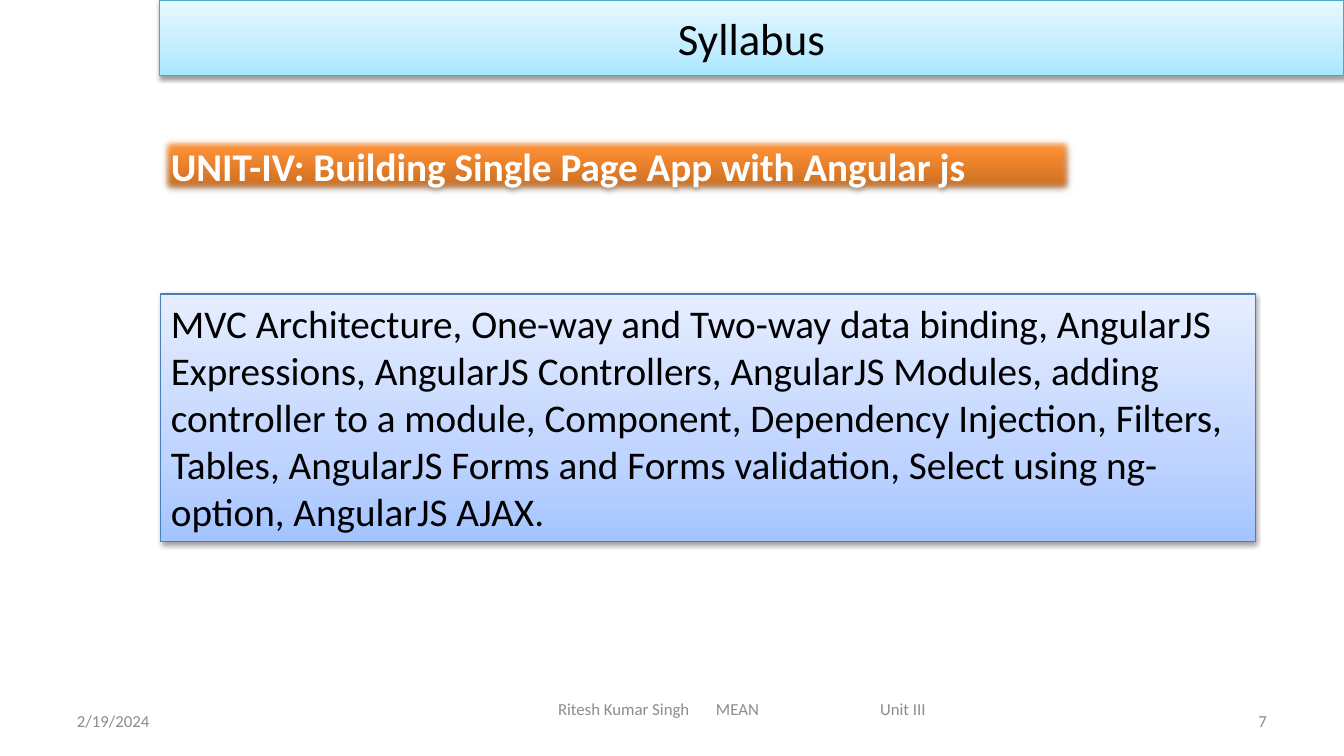
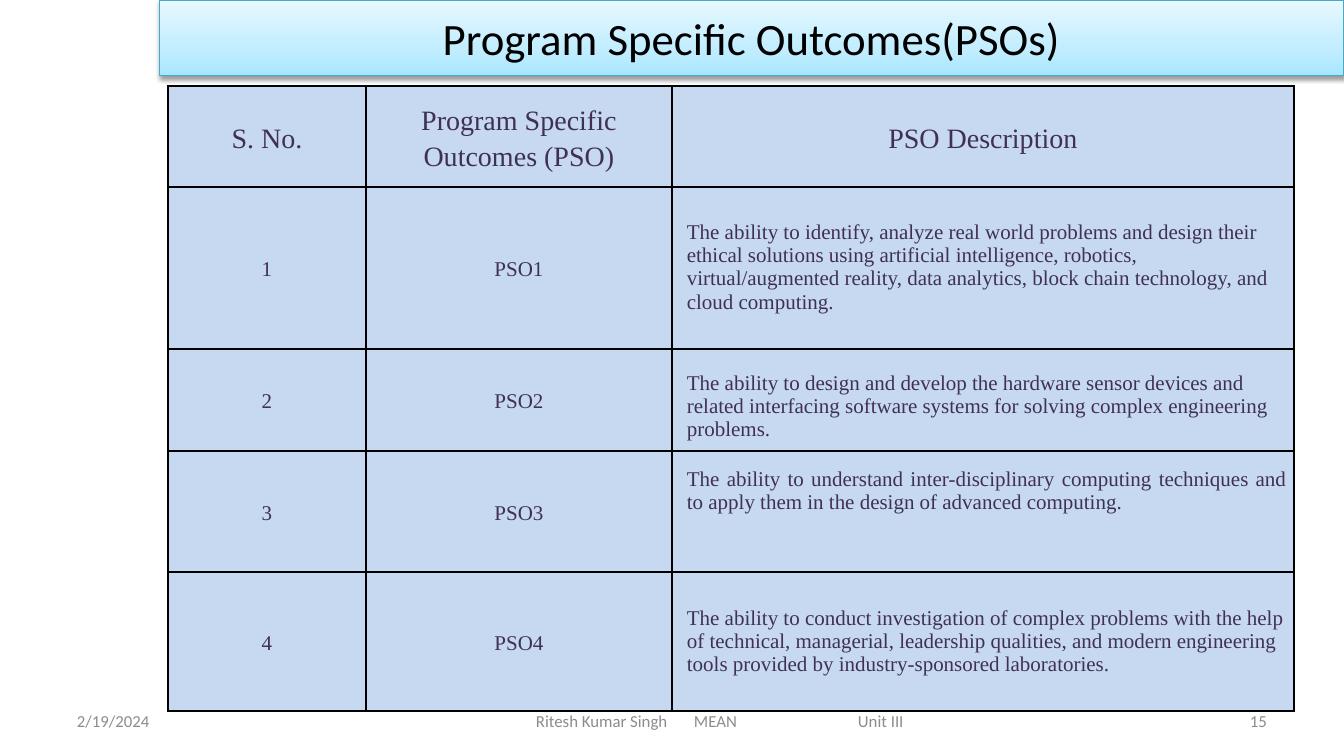
from lxml import etree
from pptx import Presentation
from pptx.dml.color import RGBColor
from pptx.enum.shapes import MSO_SHAPE
from pptx.enum.text import MSO_ANCHOR, MSO_AUTO_SIZE, PP_ALIGN
from pptx.oxml.ns import qn
from pptx.util import Pt

RECT = MSO_SHAPE.RECTANGLE
TOP, MIDDLE = MSO_ANCHOR.TOP, MSO_ANCHOR.MIDDLE
GROW = MSO_AUTO_SIZE.SHAPE_TO_FIT_TEXT
LEFT, CENTER = PP_ALIGN.LEFT, PP_ALIGN.CENTER
RIGHT, JUSTIFY = PP_ALIGN.RIGHT, PP_ALIGN.JUSTIFY

# Shared style
SANS, SERIF = "Calibri", "Times New Roman"
BLACK, WHITE, GRAY = "000000", "FFFFFF", "8C8C8C"
CELL_FILL, CELL_TEXT = "C6D9F1", "403152"
# Gradient stops run from the bottom edge to the top edge
AQUA = [(0, "A7E6FF"), (35, "C1EDFF"), (100, "E7F8FF")]
ORANGE = [(0, "C2691F"), (80, "FF9034"), (100, "FF9136")]
BLUE = [(0, "A4C4FF"), (35, "BFD4FF"), (100, "E6EEFF")]


def px(n):
    return round(n * 914400 / 100.8)


def rgb(value):
    return RGBColor.from_string(value)


def sub(parent, tag, **attrs):
    return etree.SubElement(parent, qn(tag), {k: str(v) for k, v in attrs.items()})


class Deck:
    def __init__(self):
        self.prs = Presentation()
        self.prs.slide_width, self.prs.slide_height = px(1344), px(756)
        self.s = None

    def slide(self, title, number, footer_x, footer_y):
        self.s = self.prs.slides.add_slide(self.prs.slide_layouts[5])
        # Title band
        sp = self.s.shapes.title
        sp.left, sp.top, sp.width, sp.height = px(159), 0, px(1185), px(76)
        self.gradient(sp, AQUA, "46AAC5")
        sp.text_frame.vertical_anchor = MIDDLE
        self.para(sp.text_frame.paragraphs[0], title, 32, BLACK, CENTER)
        # Footer
        self.label(77, 701, 294, "2/19/2024")
        self.label(footer_x, footer_y, 400,
                   "Ritesh Kumar Singh\tMEAN\tUnit III", tabs=(158, 322))
        self.label(973, 701, 294, number, RIGHT)

    def para(self, p, text, size, color, align=LEFT, font=SANS, bold=False):
        p.text, p.alignment = text, align
        p.font.name, p.font.size, p.font.bold = font, Pt(size), bold
        p.font.color.rgb = rgb(color)

    def gradient(self, sp, stops, line=None, alpha=38, soft=0):
        sp.fill.gradient()
        sp.fill.gradient_angle = 90
        spPr = sp._element.spPr
        gs_list = spPr.find(qn("a:gradFill")).find(qn("a:gsLst"))
        for gs in list(gs_list):
            gs_list.remove(gs)
        for pos, color in stops:
            sub(sub(gs_list, "a:gs", pos=pos * 1000), "a:srgbClr", val=color)
        if line:
            sp.line.color.rgb, sp.line.width = rgb(line), Pt(0.75)
        else:
            sp.line.fill.background()
        # Drop shadow below, and a soft edge where asked for
        effects = sub(spPr, "a:effectLst")
        shadow = sub(effects, "a:outerShdw", blurRad=40000, dist=20000,
                     dir=5400000, rotWithShape=0)
        sub(sub(shadow, "a:srgbClr", val=BLACK), "a:alpha", val=alpha * 1000)
        if soft:
            sub(effects, "a:softEdge", rad=Pt(soft))

    def label(self, x, y, w, text, align=LEFT, tabs=()):
        tf = self.s.shapes.add_textbox(px(x), px(y), px(w), px(40)).text_frame
        tf.word_wrap, tf.vertical_anchor = True, MIDDLE
        tf.margin_left = tf.margin_right = 0
        p = tf.paragraphs[0]
        if tabs:
            stops = sub(p._p.get_or_add_pPr(), "a:tabLst")
            for pos in tabs:
                sub(stops, "a:tab", pos=px(pos), algn="l")
        self.para(p, text, 12, GRAY, align)

    def box(self, x, y, w, h, text, stops, color=BLACK, align=LEFT, bold=False, **look):
        sp = self.s.shapes.add_shape(RECT, px(x), px(y), px(w), px(h))
        self.gradient(sp, stops, **look)
        tf = sp.text_frame
        tf.word_wrap, tf.auto_size, tf.vertical_anchor = True, GROW, TOP
        self.para(tf.paragraphs[0], text, 28, color, align, bold=bold)

    def table(self, x, y, widths, heights):
        table = self.s.shapes.add_table(
            len(heights), len(widths), px(x), px(y),
            px(sum(widths)), px(sum(heights))).table
        table.first_row = table.horz_banding = False
        for col, w in zip(table.columns, widths):
            col.width = px(w)
        for row, h in zip(table.rows, heights):
            row.height = px(h)
        return table

    def cell(self, cell, lines, size, align=CENTER, anchor=MIDDLE,
             left=7, top=0, spacing=1.15):
        cell.fill.solid()
        cell.fill.fore_color.rgb = rgb(CELL_FILL)
        cell.vertical_anchor = anchor
        cell.margin_left, cell.margin_right = px(left), px(7)
        cell.margin_top, cell.margin_bottom = px(top), 0
        tcPr = cell._tc.get_or_add_tcPr()
        for i, side in enumerate(("a:lnL", "a:lnR", "a:lnT", "a:lnB")):
            ln = sub(tcPr, side, w=Pt(1))
            sub(sub(ln, "a:solidFill"), "a:srgbClr", val=BLACK)
            tcPr.insert(i, ln)
        tf = cell.text_frame
        for i, text in enumerate(lines):
            p = tf.add_paragraph() if i else tf.paragraphs[0]
            p.line_spacing = spacing
            self.para(p, text, size, CELL_TEXT, align, SERIF)


def syllabus(deck):
    deck.slide("Syllabus", "7", 558, 689)
    deck.box(161, 137, 913, 57, "UNIT-IV: Building Single Page App with Angular js",
             ORANGE, WHITE, JUSTIFY, True, alpha=35, soft=5)
    deck.box(161, 294, 1095, 248,
             "MVC Architecture, One-way and Two-way data binding, AngularJS "
             "Expressions, AngularJS Controllers, AngularJS Modules, adding "
             "controller to a module, Component, Dependency Injection, Filters, "
             "Tables, AngularJS Forms and Forms validation, Select using "
             "ng-option, AngularJS AJAX.", BLUE, line="4B7EBC")


def outcomes(deck):
    deck.slide("Program Specific Outcomes(PSOs)", "15", 536, 701)
    headings = [["S. No."], ["Program Specific", "Outcomes (PSO)"], ["PSO Description"]]
    # Description, space above it, alignment
    rows = [
        ("The ability to identify, analyze real world problems and design their "
         "ethical solutions using artificial intelligence, robotics, "
         "virtual/augmented reality, data analytics, block chain technology, and "
         "cloud computing.", 34, LEFT),
        ("The ability to design and develop the hardware sensor devices and "
         "related interfacing software systems for solving complex engineering "
         "problems.", 23, LEFT),
        ("The ability to understand inter-disciplinary computing techniques and "
         "to apply them in the design of advanced computing.", 17, JUSTIFY),
        ("The ability to conduct investigation of complex problems with the help "
         "of technical, managerial, leadership qualities, and modern engineering "
         "tools provided by industry-sponsored laboratories.", 35, LEFT),
    ]
    table = deck.table(168, 86, (198, 306, 622), (101, 162, 102, 121, 139))
    for c, lines in enumerate(headings):
        deck.cell(table.cell(0, c), lines, 20)
    for n, (text, top, align) in enumerate(rows, 1):
        deck.cell(table.cell(n, 0), [str(n)], 15)
        deck.cell(table.cell(n, 1), [f"PSO{n}"], 15)
        deck.cell(table.cell(n, 2), [text], 15, align, TOP, 15, top, 1.0)


def main():
    deck = Deck()
    syllabus(deck)
    outcomes(deck)
    deck.prs.save("out.pptx")


if __name__ == "__main__":
    main()
